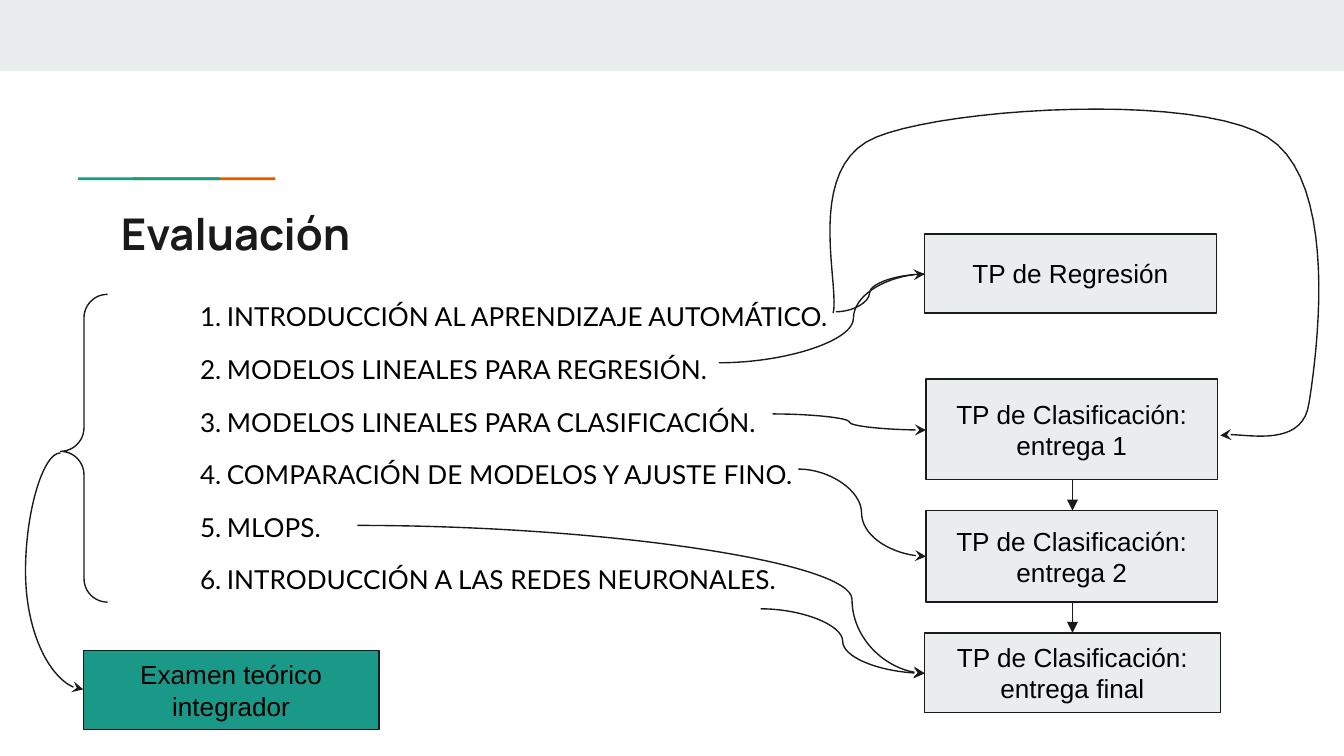
from lxml import etree
from pptx import Presentation
from pptx.dml.color import RGBColor
from pptx.enum.shapes import MSO_CONNECTOR, MSO_SHAPE
from pptx.enum.text import MSO_ANCHOR, PP_ALIGN
from pptx.oxml.ns import qn
from pptx.util import Inches, Pt

RECTANGLE, LEFT_BRACE = MSO_SHAPE.RECTANGLE, MSO_SHAPE.LEFT_BRACE
STRAIGHT, CURVE = MSO_CONNECTOR.STRAIGHT, MSO_CONNECTOR.CURVE
LEFT, CENTER = PP_ALIGN.LEFT, PP_ALIGN.CENTER
TOP, MIDDLE = MSO_ANCHOR.TOP, MSO_ANCHOR.MIDDLE

COLORS = {"ink": "1A1A1A", "text": "000000", "gray": "E9EDEE",
          "teal": "1A9988", "orange": "EB5600"}

UNITS = [
    "INTRODUCCIÓN AL APRENDIZAJE AUTOMÁTICO.",
    "MODELOS LINEALES PARA REGRESIÓN.",
    "MODELOS LINEALES PARA CLASIFICACIÓN.",
    "COMPARACIÓN DE MODELOS Y AJUSTE FINO.",
    "MLOPS.",
    "INTRODUCCIÓN A LAS REDES NEURONALES.",
]

# text, left, top, width, height, fill
DELIVERABLES = [
    ("TP de Regresión", 6.88, 1.74, 2.17, 0.59, "gray"),
    ("TP de Clasificación: entrega 1", 6.89, 2.82, 2.17, 0.75, "gray"),
    ("TP de Clasificación: entrega 2", 6.89, 3.8, 2.17, 0.68, "gray"),
    ("TP de Clasificación: entrega final", 6.88, 4.71, 2.2, 0.59, "gray"),
    ("Examen teórico integrador", 0.62, 4.84, 2.2, 0.59, "teal"),
]

# start, end, x of the bend, arrowhead
CURVES = [
    ((5.35, 2.7), (6.88, 2.04), 6.35, "stealth"),
    ((6.22, 2.32), (6.88, 2.04), 6.47, None),
    ((5.75, 3.08), (6.89, 3.2), 6.32, "stealth"),
    ((5.94, 3.49), (6.89, 4.14), 6.41, "stealth"),
    ((2.66, 3.91), (6.88, 5.01), 6.34, "stealth"),
    ((5.66, 4.53), (6.88, 5.01), 6.27, "stealth"),
    ((0.45, 3.37), (0.62, 5.13), 0.19, "stealth"),
]

LOOP_START = (6.2, 2.33)
LOOP_SEGMENTS = [
    ((6.25, 2.11), (5.98, 1.24), (6.52, 1.02)),
    ((7.06, 0.8), (8.9, 0.69), (9.43, 1.02)),
    ((9.97, 1.35), (9.8, 2.63), (9.74, 3)),
    ((9.69, 3.37), (9.19, 3.2), (9.08, 3.24)),
]


def color(name):
    return RGBColor.from_string(COLORS[name])


def write_text(shape, lines, font="Arial", size=14, ink="text", bold=False,
               align=LEFT, anchor=TOP, spacing=None, gap=0, numbered=False):
    frame = shape.text_frame
    frame.word_wrap = True
    frame.vertical_anchor = anchor
    frame.margin_left = frame.margin_right = Inches(0.1)
    frame.margin_top = frame.margin_bottom = Inches(0.1)
    for index, line in enumerate(lines):
        paragraph = frame.add_paragraph() if index else frame.paragraphs[0]
        paragraph.alignment = align
        paragraph.line_spacing = spacing
        paragraph.space_before = Pt(gap if index else 0)
        if numbered:
            number_paragraph(paragraph)
        run = paragraph.add_run()
        run.text = line
        run.font.name = font
        run.font.size = Pt(size)
        run.font.bold = bold
        run.font.color.rgb = color(ink)


def number_paragraph(paragraph):
    properties = paragraph._p.get_or_add_pPr()
    properties.set("marL", str(Inches(0.79)))
    properties.set("indent", str(Inches(-0.2)))
    bullet_color = etree.SubElement(properties, qn("a:buClr"))
    etree.SubElement(bullet_color, qn("a:srgbClr"), val=COLORS["text"])
    etree.SubElement(properties, qn("a:buAutoNum"), type="arabicPeriod")


def style_line(item, head=None):
    item.line.color.rgb = color("ink")
    item.line.width = Pt(0.75)
    if head:
        etree.SubElement(item.line._get_or_add_ln(), qn("a:tailEnd"), type=head)


def add_box(slide, left, top, width, height, fill=None, outlined=False, kind=RECTANGLE):
    shape = slide.shapes.add_shape(
        kind, Inches(left), Inches(top), Inches(width), Inches(height))
    shape.shadow.inherit = False
    if fill:
        shape.fill.solid()
        shape.fill.fore_color.rgb = color(fill)
    else:
        shape.fill.background()
    if outlined:
        style_line(shape)
    else:
        shape.line.fill.background()
    return shape


def add_link(slide, start, end, bend=None, head=None):
    """Add a straight connector, or a curved one that turns at x = bend."""
    connector = slide.shapes.add_connector(
        STRAIGHT if bend is None else CURVE, *map(Inches, start + end))
    style_line(connector, head)
    etree.SubElement(connector._element.spPr, qn("a:effectLst"))
    if bend is not None:
        ratio = (bend - start[0]) / (end[0] - start[0])
        guides = connector._element.spPr.find(qn("a:prstGeom")).find(qn("a:avLst"))
        etree.SubElement(guides, qn("a:gd"), name="adj1",
                         fmla=f"val {round(ratio * 100000)}")


def bezier_points(start, segments, steps=20):
    for first, second, end in segments:
        for step in range(1, steps + 1):
            t = step / steps
            weights = ((1 - t) ** 3, 3 * t * (1 - t) ** 2, 3 * t * t * (1 - t), t ** 3)
            corners = (start, first, second, end)
            yield tuple(Inches(sum(w * corner[axis] for w, corner in zip(weights, corners)))
                        for axis in (0, 1))
        start = end


def add_loop(slide):
    builder = slide.shapes.build_freeform(*map(Inches, LOOP_START))
    builder.add_line_segments(bezier_points(LOOP_START, LOOP_SEGMENTS), close=False)
    loop = builder.convert_to_shape()
    loop.shadow.inherit = False
    loop.fill.background()
    style_line(loop, "stealth")


def add_title(slide, text):
    title = slide.shapes.title
    title.left, title.top = Inches(0.8), Inches(1.44)
    title.width, title.height = Inches(8.41), Inches(0.59)
    write_text(title, [text], font="Manrope", size=23.4, ink="ink", bold=True)


def add_units(slide):
    box = slide.shapes.add_textbox(Inches(0.8), Inches(2.12), Inches(5.54), Inches(2.63))
    write_text(box, UNITS, font="Lato", spacing=1.08, gap=10, numbered=True)


def main():
    presentation = Presentation()
    presentation.slide_width = Inches(10)
    presentation.slide_height = Inches(10) * 9 // 16
    slide = presentation.slides.add_slide(presentation.slide_layouts[5])

    add_box(slide, 0, 0, 10, 0.53, "gray")
    add_box(slide, 0.99, 1.32, 1.06, 0.02, "orange")
    add_box(slide, 0.58, 1.32, 1.06, 0.02, "teal")
    add_title(slide, "Evaluación")

    for text, *place, fill in DELIVERABLES:
        box = add_box(slide, *place, fill, outlined=True)
        write_text(box, [text], align=CENTER, anchor=MIDDLE)
    add_units(slide)

    for top, bottom in ((3.57, 3.8), (4.48, 4.71)):
        add_link(slide, (7.98, top), (7.98, bottom), head="triangle")
    for start, end, bend, head in CURVES:
        add_link(slide, start, end, bend, head)
    add_loop(slide)

    brace = add_box(slide, 0.45, 2.19, 0.35, 2.29, outlined=True, kind=LEFT_BRACE)
    brace.adjustments[0] = 0.5
    brace.adjustments[1] = 0.51

    presentation.save("out.pptx")


if __name__ == "__main__":
    main()
